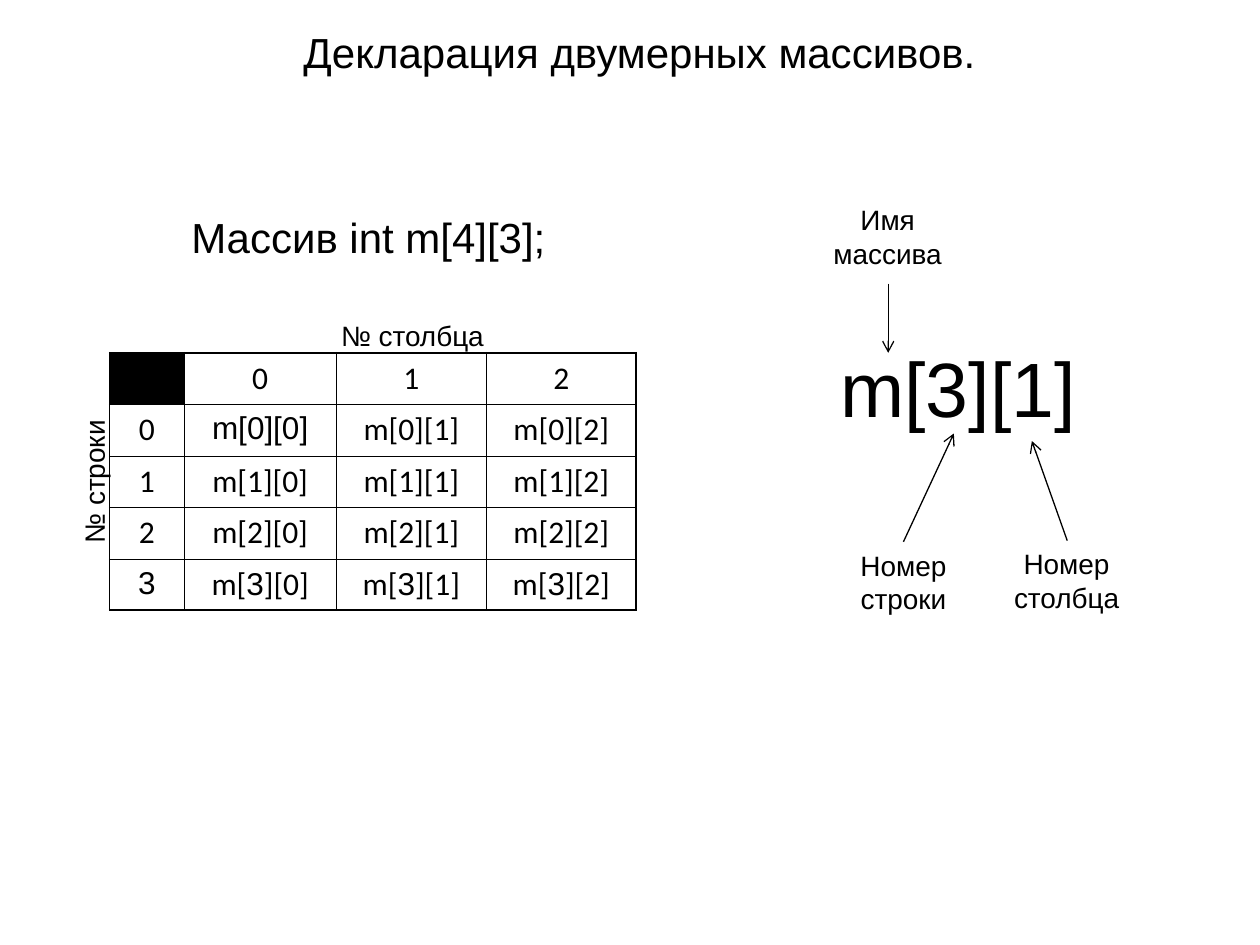
from lxml import etree
from pptx import Presentation
from pptx.dml.color import RGBColor
from pptx.enum.shapes import MSO_CONNECTOR
from pptx.enum.text import PP_ALIGN
from pptx.oxml.ns import qn
from pptx.util import Pt

LEFT, CENTER = PP_ALIGN.LEFT, PP_ALIGN.CENTER
STRAIGHT = MSO_CONNECTOR.STRAIGHT
BLACK = "000000"
ROWS, COLUMNS = 4, 3
THIN, THICK = 0.45, 1.08


def color(hex_text):
    return RGBColor.from_string(hex_text)


def style_span(span, size, font="Arial"):
    span.font.size = Pt(size)
    span.font.name = font
    span.font.color.rgb = color(BLACK)


def add_label(page, text, box, size=16, align=CENTER, rotation=0):
    label = page.shapes.add_textbox(*(Pt(length) for length in box))
    label.rotation = rotation
    frame = label.text_frame
    frame.word_wrap = True
    frame.text = text
    para = frame.paragraphs[0]
    para.alignment = align
    style_span(para.runs[0], size)


def add_arrow(page, start, end):
    arrow = page.shapes.add_connector(
        STRAIGHT, *(Pt(length) for length in (*start, *end)))
    arrow.line.color.rgb = color(BLACK)
    arrow.line.width = Pt(0.75)
    line = arrow.line._get_or_add_ln()
    etree.SubElement(line, qn("a:tailEnd"), type="arrow")
    etree.SubElement(arrow._element.spPr, qn("a:effectLst"))


def set_borders(cell, widths):
    """Draw black borders; widths maps L, R, T and B to points."""
    properties = cell._tc.get_or_add_tcPr()
    for side in "LRTB":
        line = etree.SubElement(properties, qn(f"a:ln{side}"),
                                w=str(int(Pt(widths[side]))))
        fill = etree.SubElement(line, qn("a:solidFill"))
        etree.SubElement(fill, qn("a:srgbClr"), val=BLACK)


def cell_spans(row, column):
    """Return the (text, font) pieces of a table cell."""
    if row == 0:
        return [(str(column - 1), "Calibri")] if column else []
    index = row - 1
    last = index == ROWS - 1
    if column == 0:
        return [(str(index), "Arial" if last else "Calibri")]
    if last:
        return [("m[", "Calibri"), (str(index), "Arial"),
                (f"][{column - 1}]", "Calibri")]
    font = "Arial" if (row, column) == (1, 1) else "Calibri"
    return [(f"m[{index}][{column - 1}]", font)]


def add_index_table(page, left, top, widths, heights):
    frame = page.shapes.add_table(
        len(heights), len(widths), Pt(left), Pt(top),
        Pt(sum(widths)), Pt(sum(heights)))
    table = frame.table
    table.first_row = table.horz_banding = False
    for column, width in zip(table.columns, widths):
        column.width = Pt(width)
    for row, height in zip(table.rows, heights):
        row.height = Pt(height)
    for row in range(ROWS + 1):
        for column in range(COLUMNS + 1):
            cell = table.cell(row, column)
            set_borders(cell, {
                "L": THICK if column == 0 else THIN,
                "R": THICK if column == COLUMNS else THIN,
                "T": THICK if row == 0 else THIN,
                "B": THICK if row == ROWS else THIN})
            if row == column == 0:
                cell.fill.solid()
                cell.fill.fore_color.rgb = color(BLACK)
            else:
                cell.fill.background()
            para = cell.text_frame.paragraphs[0]
            para.alignment = CENTER
            para.space_before = Pt(4.5)
            for text, font in cell_spans(row, column):
                span = para.add_run()
                span.text = text
                style_span(span, 18, font)


def add_array_panel(page, left, top):
    add_label(page, "Массив int m[4][3];", (left + 39.6, top, 238.3, 36),
              24, LEFT)
    add_index_table(page, left, top + 84.24, [42.5, 87.1, 85.7, 85.7],
                    [29.5] * ROWS + [29])
    add_label(page, "№ столбца", (left + 51.1, top + 61.2, 244, 26.6))
    add_label(page, "№ строки", (left - 82.8, top + 144.7, 147.6, 26.6),
              rotation=270)


def add_element_panel(page, left, top):
    """Explain the parts of one element reference with arrows."""
    add_label(page, "m[3][1]", (left + 11.5, top + 78.5, 153.4, 60.5), 44)
    add_label(page, "Имя массива", (left, top, 95.8, 46))
    add_label(page, "Номер строки", (left + 5.8, top + 197.3, 102.2, 46))
    add_label(page, "Номер столбца", (left + 90.7, top + 196.6, 118.8, 46))
    for start, end in [((48.2, 49.7), (48.2, 89.3)),
                       ((56.9, 197.3), (85.7, 135.4)),
                       ((150.5, 196.6), (130.3, 139.7))]:
        add_arrow(page, (left + start[0], top + start[1]),
                  (left + end[0], top + end[1]))


def main():
    deck = Presentation()
    deck.slide_width, deck.slide_height = Pt(720), Pt(540)
    page = deck.slides.add_slide(deck.slide_layouts[6])
    add_label(page, "Декларация двумерных массивов.",
              (16.6, 11.5, 697.7, 36), 24)
    add_array_panel(page, 62.64, 117.36)
    add_element_panel(page, 459.36, 112.32)
    deck.save("out.pptx")


if __name__ == "__main__":
    main()
